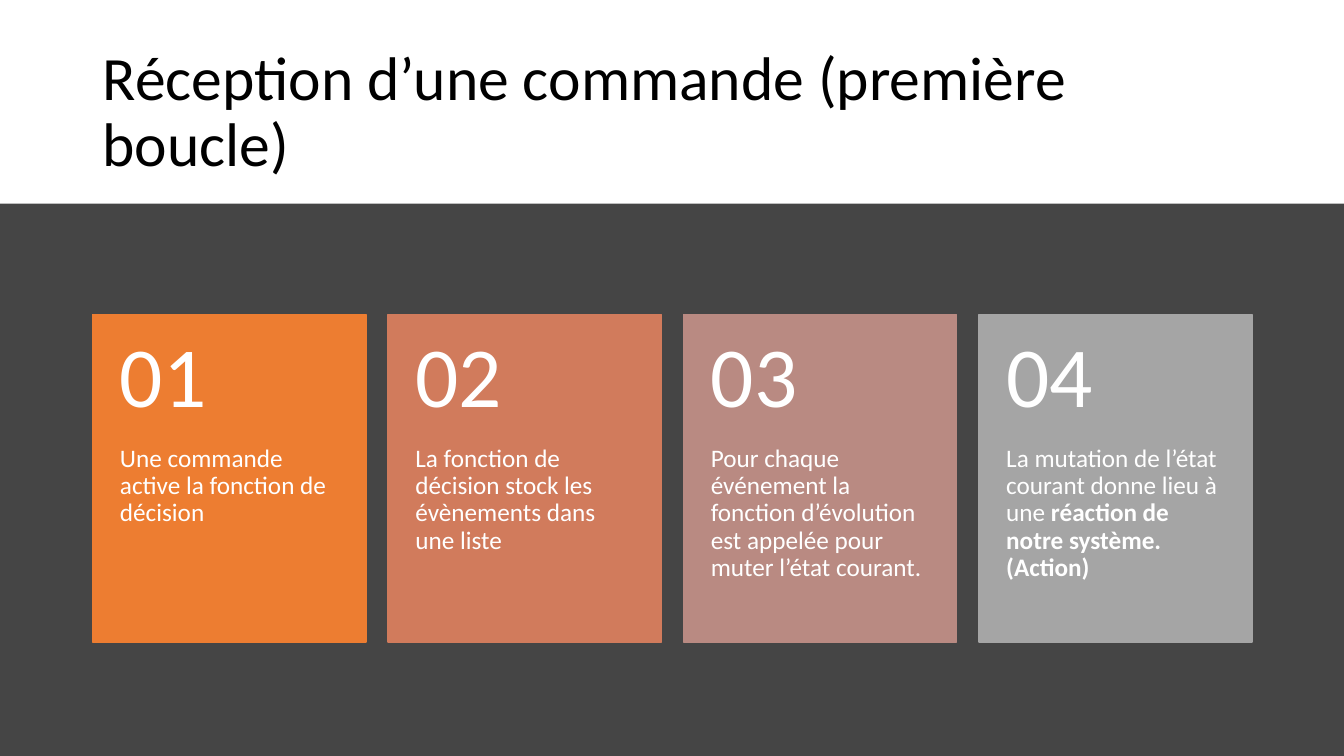
from pptx import Presentation
from pptx import util as u
from pptx.dml.color import RGBColor
from pptx.enum import shapes, text

COLORS = {
    "background": "454545",
    "band": "FFFFFF",
    "title": "000000",
    "card_text": "FFFFFF",
    "step_1": "ED7D31",
    "step_2": "D17B5C",
    "step_3": "B98A82",
    "step_4": "A5A5A5",
}
FONT = "Calibri"

# Each step is a list of (wording, bold) runs.
STEPS = [
    [("Une commande active la fonction de décision", False)],
    [("La fonction de décision stock les évènements dans une liste", False)],
    [("Pour chaque événement la fonction d’évolution est appelée "
      "pour muter l’état courant.", False)],
    [("La mutation de l’état courant donne lieu à une ", False),
     ("réaction de notre système. (Action)", True)],
]

MARGIN = 0.92
CARD_TOP, CARD_WIDTH, CARD_HEIGHT = 3.12, 2.71, 3.25
CARD_PITCH = 2.93
NUMBER_HEIGHT = 1.3


def rgb(name):
    """Return the named palette colour."""
    return RGBColor.from_string(COLORS[name])


def add_panel(slide, left, top, width, height, color, outlined=False):
    """Add a flat rectangle, with an outline of its own colour if asked."""
    panel = slide.shapes.add_shape(
        shapes.MSO_SHAPE.RECTANGLE,
        *map(u.Inches, (left, top, width, height)))
    panel.shadow.inherit = False
    panel.fill.solid()
    panel.fill.fore_color.rgb = rgb(color)
    if outlined:
        panel.line.color.rgb = rgb(color)
        panel.line.width = u.Pt(1)
    else:
        panel.line.fill.background()


def add_text(slide, left, top, width, height, runs, *, size, color,
             anchor=text.MSO_ANCHOR.TOP, insets=(0.1, 0.05, 0.1, 0.05)):
    """Add a wrapped text box holding one paragraph of (wording, bold) runs."""
    box = slide.shapes.add_textbox(
        *map(u.Inches, (left, top, width, height)))
    frame = box.text_frame
    frame.word_wrap = True
    frame.vertical_anchor = anchor
    (frame.margin_left, frame.margin_top,
     frame.margin_right, frame.margin_bottom) = map(u.Inches, insets)
    paragraph = frame.paragraphs[0]
    paragraph.line_spacing = 0.9
    for wording, bold in runs:
        run = paragraph.add_run()
        run.text = wording
        run.font.name = FONT
        run.font.size = u.Pt(size)
        run.font.bold = bold
        run.font.color.rgb = rgb(color)


def add_card(slide, number, description):
    """Add one numbered step card at its place in the row."""
    left = MARGIN + (number - 1) * CARD_PITCH
    add_panel(slide, left, CARD_TOP, CARD_WIDTH, CARD_HEIGHT,
              f"step_{number}", outlined=True)
    add_text(slide, left, CARD_TOP + NUMBER_HEIGHT, CARD_WIDTH,
             CARD_HEIGHT - NUMBER_HEIGHT, description,
             size=18, color="card_text", insets=(0.27, 0, 0.27, 0.36))
    add_text(slide, left, CARD_TOP, CARD_WIDTH, NUMBER_HEIGHT,
             [(f"{number:02d}", False)], size=61, color="card_text",
             anchor=text.MSO_ANCHOR.MIDDLE, insets=(0.27, 0.18, 0.27, 0.18))


def main():
    """Build the slide and save it."""
    deck = Presentation()
    deck.slide_width, deck.slide_height = u.Inches(13.33), u.Inches(7.5)
    slide = deck.slides.add_slide(deck.slide_layouts[6])
    slide.background.fill.solid()
    slide.background.fill.fore_color.rgb = rgb("background")

    add_panel(slide, 0, -0.01, 13.33, 2.03, "band")
    add_text(slide, MARGIN, 0.4, 11.5, 1.45,
             [("Réception d’une commande (première boucle)", False)],
             size=44, color="title", anchor=text.MSO_ANCHOR.MIDDLE)
    for number, description in enumerate(STEPS, start=1):
        add_card(slide, number, description)

    deck.save("out.pptx")


main()
